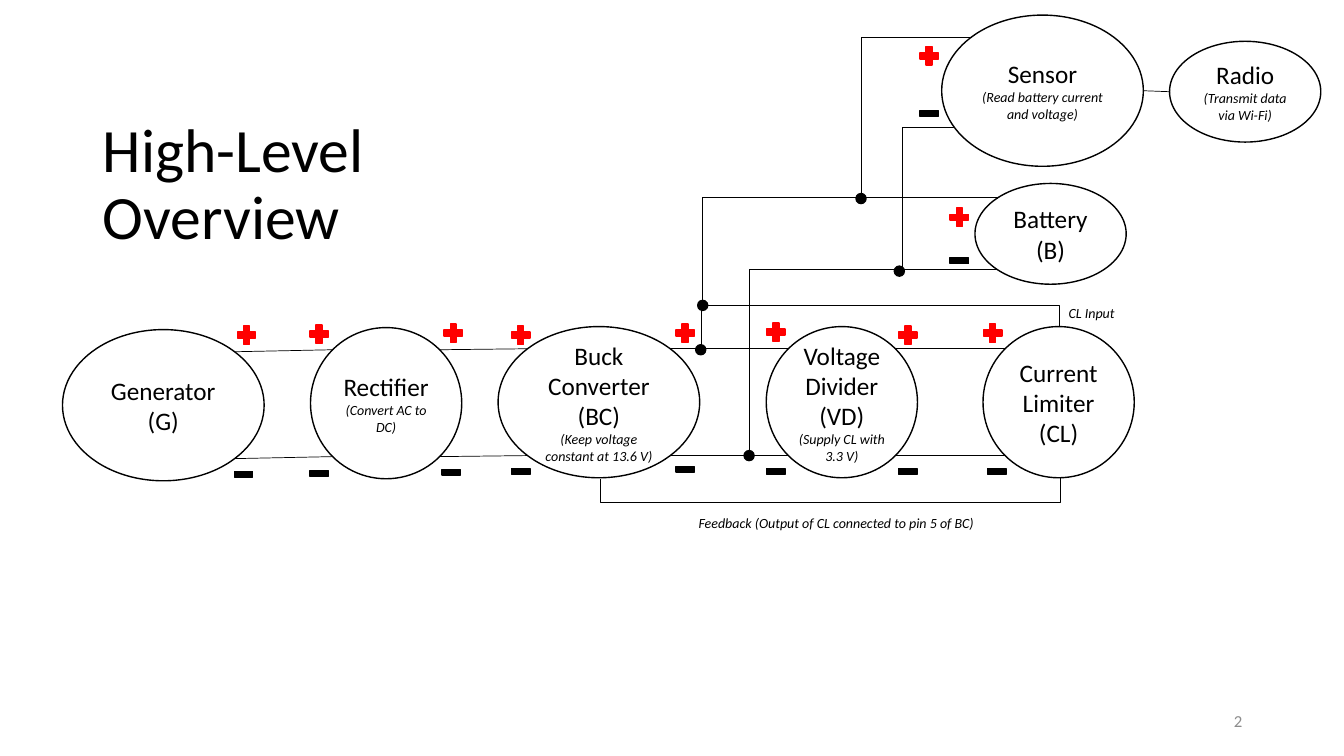
from pptx import Presentation
from pptx.dml.color import RGBColor
from pptx.enum import shapes, text
from pptx.oxml import ns
from pptx.util import Inches, Pt
from lxml import etree

BLACK = RGBColor(0, 0, 0)
WHITE = RGBColor(255, 255, 255)
RED = RGBColor(255, 0, 0)
GRAY = RGBColor(0x8C, 0x8C, 0x8C)
FONT = "Calibri"
SIGN, DOT = 0.25, 0.1

TITLE = ["High-Level", "Overview"]
BLOCKS = [
    ("Generator (G)", "", 0.62, 3.27, 2, 1.5),
    ("Rectifier", "(Convert AC to DC)", 3.08, 3.25, 1.5, 1.5),
    ("Buck Converter (BC)", "(Keep voltage constant at 13.6 V)", 4.94, 3.24, 2, 1.5),
    ("Voltage Divider (VD)", "(Supply CL with 3.3 V)", 7.6, 3.24, 1.5, 1.5),
    ("Current Limiter (CL)", "", 9.75, 3.24, 1.5, 1.5),
    ("Battery (B)", "", 9.67, 1.82, 1.5, 1),
    ("Sensor", "(Read battery current and voltage)", 9.34, 0.15, 2, 1.5),
    ("Radio", "(Transmit data via Wi-Fi)", 11.6, 0.41, 1.5, 1),
]
RAIL_GAP = 1.06
RAILS = [
    ((2.32, 3.49), (3.3, 3.47)),
    ((4.36, 3.47), (5.23, 3.46)),
    ((6.65, 3.46), (7.82, 3.46)),
    ((8.88, 3.46), (9.97, 3.46)),
]
DATA_LINK = ((11.34, 0.9), (11.6, 0.91))
BENT_WIRES = [
    ((10.52, 4.74), (5.95, 4.75), 4.99),
    ((6.96, 3.46), (10.51, 3.24), 3.03),
    ((6.97, 2.98), (9.89, 1.97), 1.96),
    ((7.43, 4.47), (9.89, 2.68), 2.67),
    ((8.54, 1.92), (9.64, 0.37), 0.37),
    ((8.95, 2.65), (9.46, 1.27), 1.26),
]
JUNCTIONS = [(6.9, 3.42), (7.38, 4.47), (8.49, 1.92), (8.87, 2.64), (6.92, 2.98)]
PLUSES = [
    (2.32, 3.2), (3.04, 3.19), (4.37, 3.18), (5.04, 3.2), (6.67, 3.18),
    (7.57, 3.17), (8.88, 3.2), (9.72, 3.18), (9.39, 2.03), (9.09, 0.43),
]
MINUSES = [
    (2.29, 4.58), (3.04, 4.57), (4.35, 4.56), (5.04, 4.55), (6.67, 4.53),
    (7.57, 4.55), (8.88, 4.55), (9.76, 4.55), (9.39, 2.46), (9.09, 1),
]
LABELS = [
    ("Feedback (Output of CL connected to pin 5 of BC)", 6.83, 5.05, 2.97),
    ("CL Input", 10.5, 2.97, 0.66),
]


def set_all(target, **values):
    for name, value in values.items():
        setattr(target, name, value)


def write(tf, lines, align, color=BLACK):
    for i, (words, size, italic) in enumerate(lines):
        p = tf.paragraphs[0] if i == 0 else tf.add_paragraph()
        p.alignment = align
        r = p.add_run()
        r.text = words
        set_all(r.font, name=FONT, size=Pt(size), italic=italic)
        r.font.color.rgb = color


def add_shape(s, kind, x, y, w, h, fill, line):
    sp = s.shapes.add_shape(kind, *map(Inches, (x, y, w, h)))
    sp.shadow.inherit = False
    sp.fill.solid()
    sp.fill.fore_color.rgb = fill
    sp.line.color.rgb = line
    sp.line.width = Pt(1)
    return sp


def add_wire(s, kind, start, end):
    wire = s.shapes.add_connector(kind, *map(Inches, (*start, *end)))
    wire.line.color.rgb = BLACK
    wire.line.width = Pt(0.5)
    etree.SubElement(wire._element.spPr, ns.qn("a:effectLst"))
    return wire


def add_bent_wire(s, start, end, bend_y):
    (x1, y1), (x2, y2) = start, end
    cx, cy = (x1 + x2) / 2, (y1 + y2) / 2
    dx, dy = x2 - x1, y2 - y1
    wire = add_wire(s, shapes.MSO_CONNECTOR.ELBOW,
                    (cx - dy / 2, cy + dx / 2), (cx + dy / 2, cy - dx / 2))
    props = wire._element.spPr
    props.find(ns.qn("a:xfrm")).set("rot", "5400000")
    guide = etree.SubElement(props.find(".//" + ns.qn("a:avLst")), ns.qn("a:gd"))
    guide.set("name", "adj1")
    guide.set("fmla", f"val {round((bend_y - y1) / dy * 100000)}")


def add_text(s, words, x, y, w, h, size, italic, align, color, wrap):
    tf = s.shapes.add_textbox(*map(Inches, (x, y, w, h))).text_frame
    set_all(tf, word_wrap=wrap, vertical_anchor=text.MSO_ANCHOR.MIDDLE)
    write(tf, [(words, size, italic)], align, color)


def main():
    """Build the high-level overview slide."""
    prs = Presentation()
    set_all(prs, slide_width=Inches(13.33), slide_height=Inches(7.5))
    s = prs.slides.add_slide(prs.slide_layouts[5])
    left, center, right = (text.PP_ALIGN.LEFT, text.PP_ALIGN.CENTER, text.PP_ALIGN.RIGHT)

    title = s.shapes.title
    set_all(title, left=Inches(0.92), top=Inches(1.12), width=Inches(11.5), height=Inches(1.45))
    set_all(title.text_frame, auto_size=text.MSO_AUTO_SIZE.NONE,
            vertical_anchor=text.MSO_ANCHOR.MIDDLE)
    write(title.text_frame, [(line, 44, False) for line in TITLE], left)
    for p in title.text_frame.paragraphs:
        p.line_spacing = 0.9

    oval = shapes.MSO_SHAPE.OVAL
    for name, role, *box in BLOCKS:
        sp = add_shape(s, oval, *box, WHITE, BLACK)
        sp.text_frame.vertical_anchor = text.MSO_ANCHOR.MIDDLE
        lines = [(name, 18, False)] + ([(role, 10, True)] if role else [])
        write(sp.text_frame, lines, center)

    straight = shapes.MSO_CONNECTOR.STRAIGHT
    for (x1, y1), (x2, y2) in RAILS:
        for drop in (0, RAIL_GAP):
            add_wire(s, straight, (x1, y1 + drop), (x2, y2 + drop))
    add_wire(s, straight, *DATA_LINK)
    for wire in BENT_WIRES:
        add_bent_wire(s, *wire)

    for kind, places, size, color in (
        (oval, JUNCTIONS, DOT, BLACK),
        (shapes.MSO_SHAPE.MATH_PLUS, PLUSES, SIGN, RED),
        (shapes.MSO_SHAPE.MATH_MINUS, MINUSES, SIGN, BLACK),
    ):
        for x, y in places:
            add_shape(s, kind, x, y, size, size, color, color)

    for words, x, y, w in LABELS:
        add_text(s, words, x, y, w, 0.27, 10, True, left, BLACK, False)
    add_text(s, "2", 9.42, 6.95, 3, 0.4, 12, False, right, GRAY, True)
    prs.save("out.pptx")


if __name__ == "__main__":
    main()
